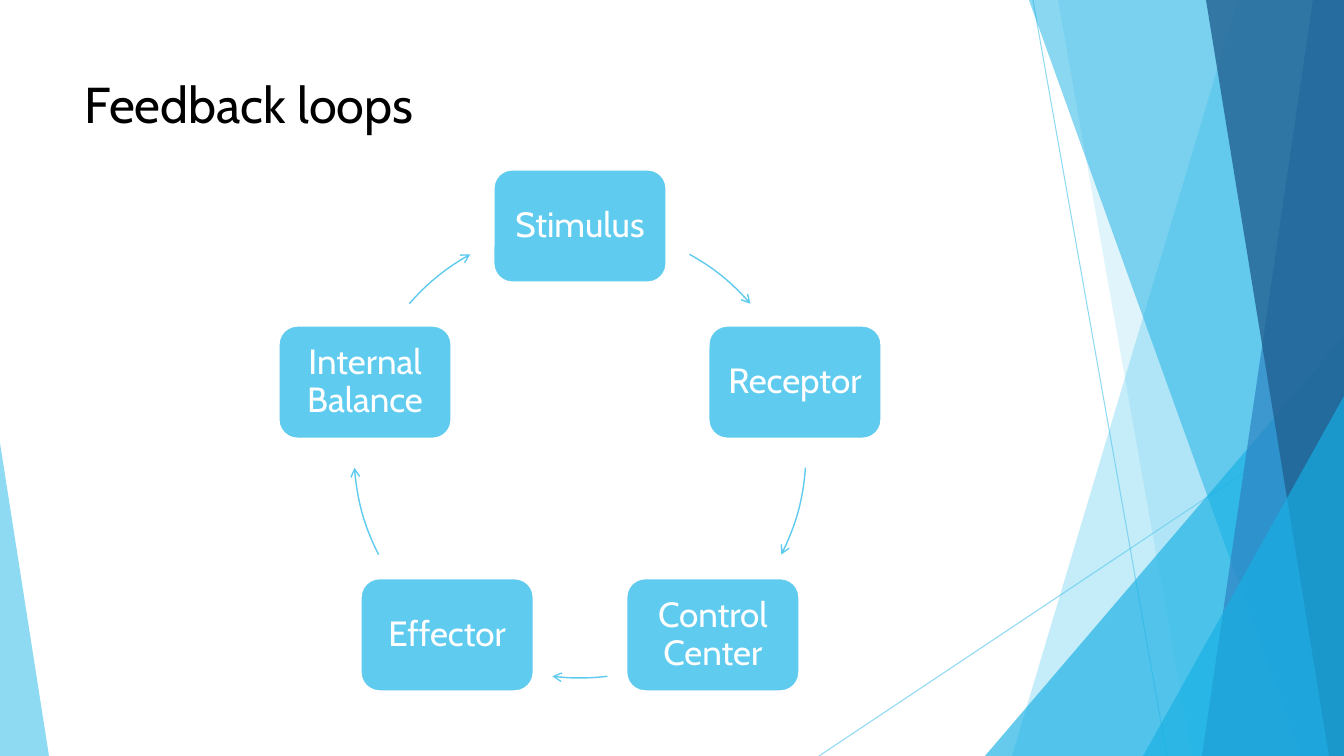
"""Build the feedback loops slide: a five-step cycle beside a faceted blue backdrop."""
import math

from lxml import etree
from pptx import Presentation, util as u
from pptx.dml.color import RGBColor
from pptx.enum import shapes, text
from pptx.oxml.ns import qn

PX = 12192000 / 1344
SKY, CYAN, BLUE, NAVY, WHITE = "5FCBEF", "17B0E4", "2E83C3", "226292", "FFFFFF"


def px(*lengths):
    return [u.Emu(round(length * PX)) for length in lengths]


def paint(color_format, color, opacity=100):
    color_format.solid()
    color_format.fore_color.rgb = RGBColor.from_string(color)
    if opacity < 100:
        element = color_format._xPr.find(".//" + qn("a:srgbClr"))
        etree.SubElement(element, qn("a:alpha"), val=str(opacity * 1000))


presentation = Presentation()
presentation.slide_width, presentation.slide_height = px(1344, 756)
slide = presentation.slides.add_slide(presentation.slide_layouts[6])

for ends in [(1033, 0, 1167, 756), (1344, 406, 819, 756)]:
    connector = slide.shapes.add_connector(shapes.MSO_CONNECTOR.STRAIGHT, *px(*ends))
    connector.line.width = u.Pt(0.75)
    paint(connector.line.fill, SKY, 70)
    etree.SubElement(connector._element.spPr, qn("a:effectLst"))

facets = [
    ("band", (1238, 1012), SKY, 36),
    ("band", (1058, 1192), SKY, 20),
    ("triangle", (985, 336, 359, 420, 1), CYAN, 66),
    ("band", (1029, 1301), CYAN, 50),
    ("band", (1313, 1202), BLUE, 70),
    ("band", (1206, 1329), NAVY, 80),
    ("triangle", (1143, 396, 201, 360, 1), CYAN, 66),
    ("triangle", (0, 443, 49, 313, 0), SKY, 70),
]
for kind, geometry, color, opacity in facets:
    if kind == "band":
        top_x, bottom_x = geometry
        builder = slide.shapes.build_freeform(top_x, 0, scale=PX)
        builder.add_line_segments([(1344, 0), (1344, 756), (bottom_x, 756)])
        shape = builder.convert_to_shape()
    else:
        *box, apex = geometry
        shape = slide.shapes.add_shape(shapes.MSO_SHAPE.ISOSCELES_TRIANGLE, *px(*box))
        shape.adjustments[0] = apex
    shape.shadow.inherit = False
    shape.line.fill.background()
    paint(shape.fill, color, opacity)

title = slide.shapes.add_textbox(*px(75, 68, 948, 145))
title.text_frame.word_wrap = True
title.text_frame.text = "Feedback loops"
title_font = title.text_frame.paragraphs[0].runs[0].font
title_font.name, title_font.size = "Cabin", u.Pt(36)
title_font.color.rgb = RGBColor.from_string("000000")

center_x, center_y, radius = 580, 452, 226
box_width, box_height = 173, 113
steps = [
    ("Stimulus", -61, -41),
    ("Receptor", 4, 27),
    ("Control Center", 83, 97),
    ("Effector", 153, 176),
    ("Internal Balance", 221, 241),
]
for index, (label, arrow_start, arrow_end) in enumerate(steps):
    angle = math.radians(360 / len(steps) * index - 90)
    left = center_x + radius * math.cos(angle) - box_width / 2
    top = center_y + radius * math.sin(angle) - box_height / 2
    step = slide.shapes.add_shape(
        shapes.MSO_SHAPE.ROUNDED_RECTANGLE, *px(left, top, box_width, box_height))
    step.shadow.inherit = False
    paint(step.fill, SKY)
    paint(step.line.fill, WHITE)
    step.line.width = u.Pt(1.5)

    frame = step.text_frame
    frame.word_wrap = True
    frame.vertical_anchor = text.MSO_ANCHOR.MIDDLE
    frame.margin_left, frame.margin_right = px(10, 10)
    frame.margin_top, frame.margin_bottom = px(10, 10)
    frame.text = label
    paragraph = frame.paragraphs[0]
    paragraph.alignment = text.PP_ALIGN.CENTER
    paragraph.line_spacing = 0.9
    font = paragraph.runs[0].font
    font.name, font.size = "Cabin", u.Pt(25)
    font.color.rgb = RGBColor.from_string(WHITE)

    arrow = slide.shapes.add_shape(
        shapes.MSO_SHAPE.ARC,
        *px(center_x - radius, center_y - radius, 2 * radius, 2 * radius))
    arrow.adjustments[0] = arrow_start % 360 * 0.6
    arrow.adjustments[1] = arrow_end % 360 * 0.6
    arrow.shadow.inherit = False
    arrow.fill.background()
    paint(arrow.line.fill, SKY)
    arrow.line.width = u.Pt(1)
    etree.SubElement(arrow.line._get_or_add_ln(), qn("a:tailEnd"), type="arrow")

presentation.save("out.pptx")
